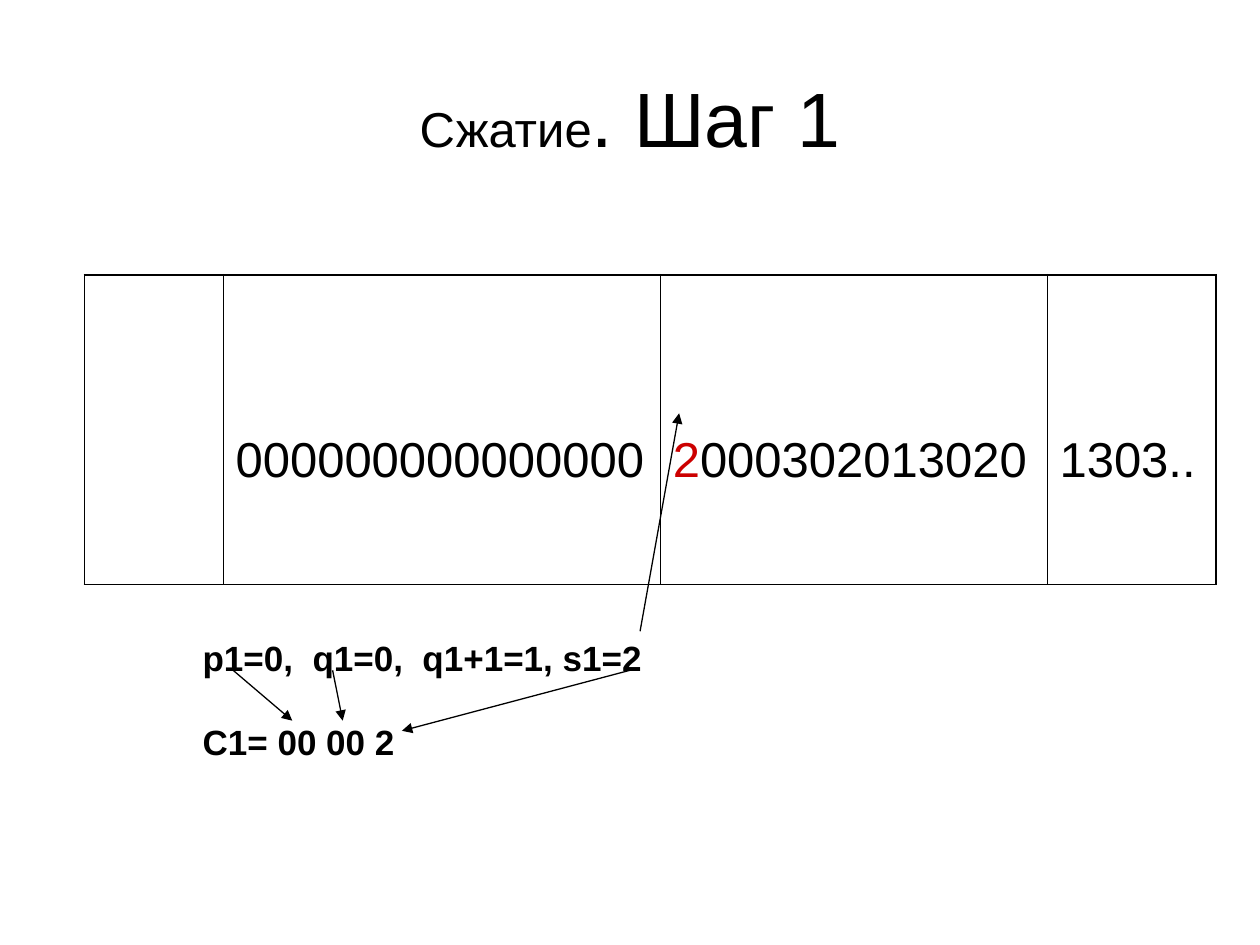
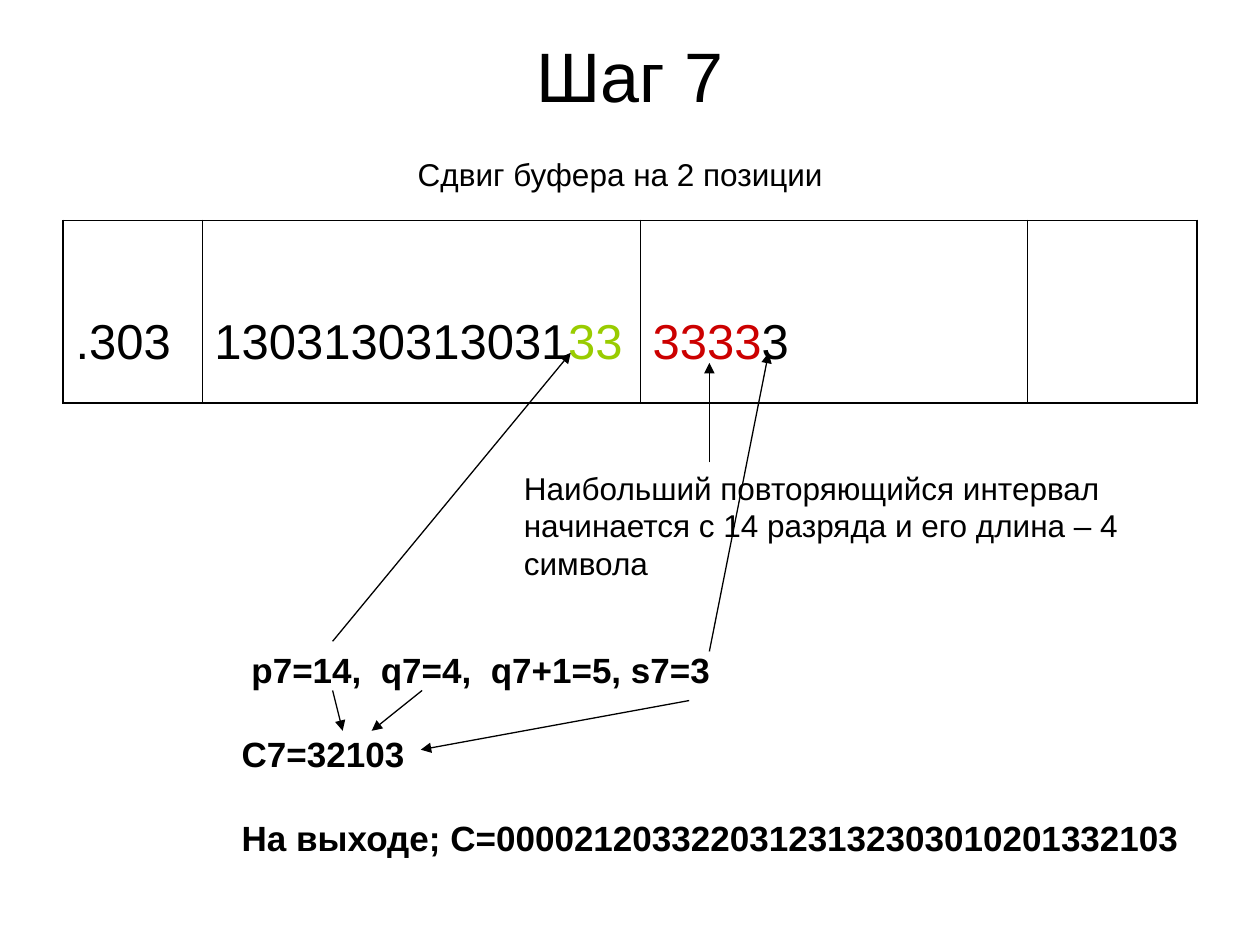
from pptx import Presentation, util as u
from pptx.dml.color import RGBColor
from pptx.enum import shapes, text
from pptx.oxml import parse_xml
from pptx.oxml.ns import nsdecls, qn
from lxml import etree

INK = {"black": "000000", "red": "CC0000", "green": "99CC00"}
FONT = "Arial"
COLS = (1.1, 3.47, 3.07, 1.34)
THICK, THIN = 1.08, 0.45

deck = Presentation()
deck.slide_width, deck.slide_height = u.Inches(10), u.Inches(7.5)
UNIT = deck.slide_width / 100


def grid(*cells):
    return [round(cell * UNIT) for cell in cells]


def style(run, size, ink="black", bold=False):
    run.font.name = FONT
    run.font.size = u.Pt(size)
    run.font.bold = bold
    run.font.color.rgb = RGBColor.from_string(INK[ink])


def fill(para, parts):
    for words, size, ink in parts:
        run = para.add_run()
        run.text = words
        style(run, size, ink)


def head(slide, box, lines):
    title = slide.shapes.title
    title.left, title.top, title.width, title.height = grid(*box)
    frame = title.text_frame
    frame.auto_size = text.MSO_AUTO_SIZE.NONE
    frame.vertical_anchor = text.MSO_ANCHOR.MIDDLE
    para = frame.paragraphs[0]
    para.alignment = text.PP_ALIGN.CENTER
    for i, parts in enumerate(lines):
        if i:
            para.add_line_break()
        fill(para, [(words, size, "black") for words, size in parts])


def edge(cell, sides):
    props = cell._tc.get_or_add_tcPr()
    for i, (side, width) in enumerate(sides.items()):
        props.insert(i, parse_xml(
            f'<a:ln{side} {nsdecls("a")} w="{u.Pt(width)}"><a:solidFill>'
            f'<a:srgbClr val="{INK["black"]}"/></a:solidFill></a:ln{side}>'))


def buffer(slide, box, cells):
    table = slide.shapes.add_table(1, len(COLS), *grid(*box)).table
    table.first_row = table.horz_banding = False
    last = len(COLS) - 1
    for i, (share, parts) in enumerate(zip(COLS, cells)):
        table.columns[i].width = grid(box[2] * share / sum(COLS))[0]
        cell = table.cell(0, i)
        cell.fill.background()
        cell.vertical_anchor = text.MSO_ANCHOR.MIDDLE
        cell.margin_top = u.Inches(0.56)
        para = cell.text_frame.paragraphs[0]
        para.line_spacing = 0.93
        para.space_before = u.Pt(7)
        fill(para, [(words, 28, ink) for words, ink in parts])
        edge(cell, {"L": THIN if i else THICK,
                    "R": THICK if i == last else THIN,
                    "T": THICK, "B": THICK})


def arrow(slide, start, end):
    line = slide.shapes.add_connector(
        shapes.MSO_CONNECTOR.STRAIGHT, *grid(*start, *end))
    line.line.width = u.Pt(0.74)
    line.line.color.rgb = RGBColor.from_string(INK["black"])
    etree.SubElement(line.line._get_or_add_ln(), qn("a:tailEnd"),
                     type="triangle")
    etree.SubElement(line._element.spPr, qn("a:effectLst"))


def note(slide, box, lines, arrows, size=20, bold=True, gap=24):
    frame = slide.shapes.add_textbox(*grid(*box)).text_frame
    frame.word_wrap = True
    frame.text = "\n".join(lines)
    for i, para in enumerate(frame.paragraphs):
        para.space_before = u.Pt(gap if i else 0)
        for run in para.runs:
            style(run, size, bold=bold)
    left, top = box[:2]
    for x1, y1, x2, y2 in arrows:
        arrow(slide, (left + x1, top + y1), (left + x2, top + y2))


def page():
    return deck.slides.add_slide(deck.slide_layouts[5])


first = page()
head(first, (5, 3, 90, 12.5), [[("Сжатие", 28), (". Шаг 1", 44)]])
buffer(first, (6.7, 21.8, 89.8, 24.6), [
    [],
    [("0" * 15, "black")],
    [("2", "red"), ("000302013020", "black")],
    [("1303..", "black")]])
note(first, (15.1, 50, 38, 11),
     ["p1=0,  q1=0,  q1+1=1, s1=2", "C1= 00 00 2"],
     [(35.7, 0.1, 38.8, -17.2), (11.3, 3.2, 12.1, 7.2),
      (3.4, 3.2, 8.1, 7.2), (34.9, 3.2, 16.8, 8)])

final = page()
head(final, (5, 2.1, 90, 14.3), [
    [("Шаг 7", 40)],
    [("Сдвиг буфера на 2 позиции", 18), (" ", 40)]])
buffer(final, (5, 17.5, 90, 14.5), [
    [(".303", "black")],
    [("1303130313031", "black"), ("33", "green")],
    [("3333", "red"), ("3", "black")],
    []])
note(final, (18.2, 51, 79, 17.7),
     [" p7=14,  q7=4,  q7+1=5, s7=3", "C7=32103",
      "На выходе; С=00002120332203123132303010201332103"],
     [(8.2, -0.1, 27.1, -23), (38.1, 0.7, 42.8, -23),
      (8.2, 3.8, 9, 7), (15.3, 3.8, 11.3, 7), (36.5, 4.6, 15.2, 8.5)])
note(final, (40.6, 36.7, 56.6, 10),
     ["Наибольший повторяющийся интервал",
      "начинается с 14 разряда и его длина – 4 символа"],
     [(15.7, 0, 15.7, -7.9)], size=18, bold=False, gap=0)

deck.save("out.pptx")
